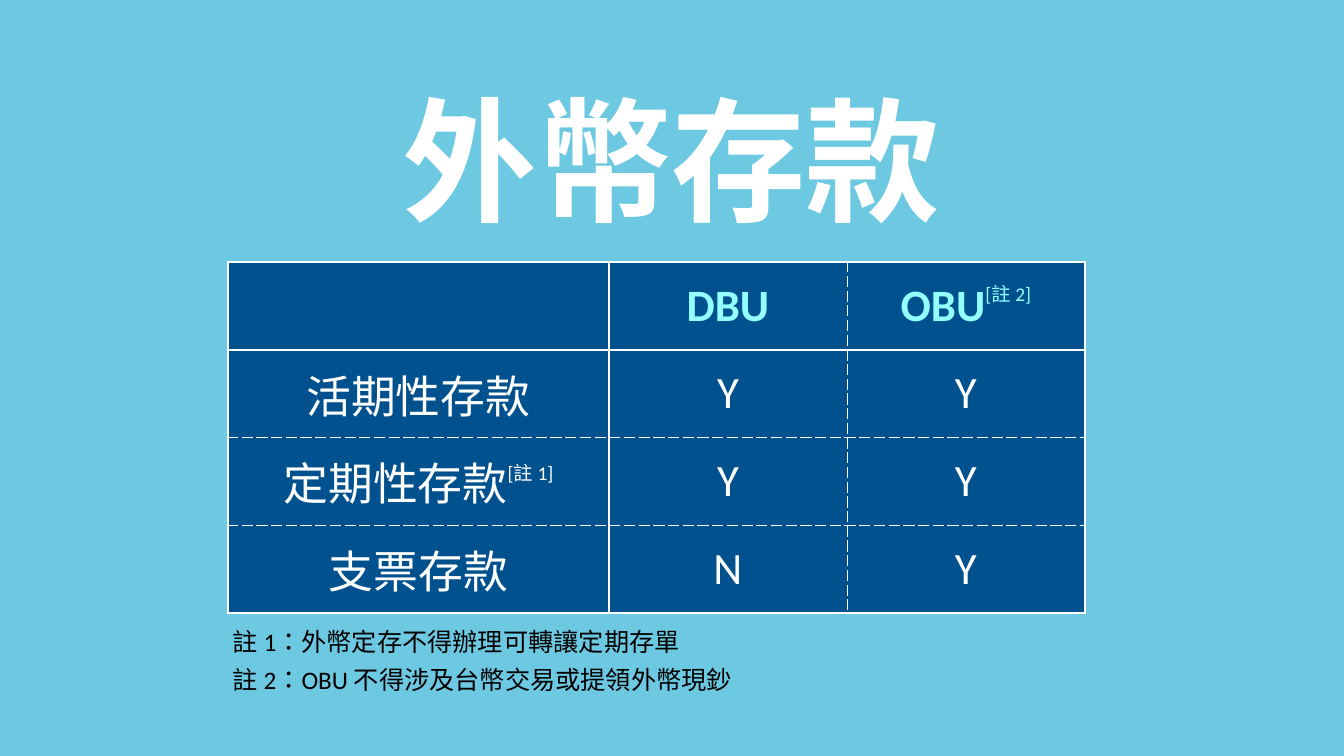
from lxml.etree import SubElement
from pptx import Presentation
from pptx.dml.color import RGBColor
from pptx.enum.text import MSO_ANCHOR as Anchor, MSO_AUTO_SIZE as AutoSize, PP_ALIGN as Align
from pptx.oxml.ns import qn
from pptx.util import Inches, Pt


def color(value):
    return RGBColor.from_string(value)


class DepositSlide:
    latin, cjk = "Calibri", "Noto Sans CJK SC"
    sky, navy, aqua, white, black = "6DC8E1", "00518E", "93FFFF", "FFFFFF", "000000"

    def __init__(self, presentation):
        self.slide = presentation.slides.add_slide(presentation.slide_layouts[5])
        fill = self.slide.background.fill
        fill.solid()
        fill.fore_color.rgb = color(self.sky)

    def run(self, paragraph, text, size, ink, bold=False, latin=latin, raised=False):
        run = paragraph.add_run()
        run.text = text
        font = run.font
        font.size, font.bold, font.name = Pt(size), bold, latin
        font.color.rgb = color(ink)
        properties = run._r.get_or_add_rPr()
        properties.set("lang", "zh-TW")
        if raised:
            properties.set("baseline", "60000")
        SubElement(properties, qn("a:ea"), typeface=self.cjk)

    def title(self, text, left, top, width, height):
        title = self.slide.shapes.title
        title.left, title.top = Inches(left), Inches(top)
        title.width, title.height = Inches(width), Inches(height)
        frame = title.text_frame
        frame.word_wrap = True
        frame.auto_size = AutoSize.NONE
        frame.vertical_anchor = Anchor.TOP
        paragraph = frame.paragraphs[0]
        paragraph.alignment = Align.CENTER
        self.run(paragraph, text, 96, self.white, bold=True, latin=self.cjk)

    def border(self, cell, side, dashed):
        line = SubElement(cell._tc.get_or_add_tcPr(), qn(f"a:ln{side}"),
                          w=str(Pt(0.5 if dashed else 1.5)))
        fill = SubElement(line, qn("a:solidFill"))
        SubElement(fill, qn("a:srgbClr"), val=self.white)
        SubElement(line, qn("a:prstDash"), val="dash" if dashed else "solid")

    def table(self, rows, left, top, widths, row_height):
        row_count, column_count = len(rows), len(widths)
        table = self.slide.shapes.add_table(
            row_count, column_count, Inches(left), Inches(top),
            Inches(sum(widths)), Inches(row_height * row_count)).table
        for column, width in zip(table.columns, widths):
            column.width = Inches(width)
        for row_index, row in enumerate(rows):
            table.rows[row_index].height = Inches(row_height)
            for column_index, (text, note) in enumerate(row):
                cell = table.cell(row_index, column_index)
                edges = (("L", column_index, column_count), ("R", column_index + 1, column_count),
                         ("T", row_index, row_count), ("B", row_index + 1, row_count))
                for side, edge, count in edges:
                    self.border(cell, side, dashed=1 < edge < count)
                cell.fill.solid()
                cell.fill.fore_color.rgb = color(self.navy)
                cell.vertical_anchor = Anchor.MIDDLE
                paragraph = cell.text_frame.paragraphs[0]
                paragraph.alignment = Align.CENTER
                header = row_index == 0
                ink = self.aqua if header else self.white
                if text:
                    self.run(paragraph, text, 32, ink, bold=header)
                if note:
                    self.run(paragraph, note, 24, ink, raised=True)

    def notes(self, lines, left, top, width, height):
        box = self.slide.shapes.add_textbox(
            Inches(left), Inches(top), Inches(width), Inches(height))
        frame = box.text_frame
        frame.word_wrap = True
        for index, line in enumerate(lines):
            paragraph = frame.add_paragraph() if index else frame.paragraphs[0]
            paragraph.line_spacing = 1.25
            self.run(paragraph, line, 18, self.black)


def main():
    presentation = Presentation()
    presentation.slide_width, presentation.slide_height = Inches(13.33), Inches(7.5)
    deposits = DepositSlide(presentation)
    deposits.title("外幣存款", 3.67, 0.71, 5.98, 1.72)
    deposits.table([
        [("", ""), ("DBU", ""), ("OBU", "[註 2]")],
        [("活期性存款", ""), ("Y", ""), ("Y", "")],
        [("定期性存款", "[註 1]"), ("Y", ""), ("Y", "")],
        [("支票存款", ""), ("N", ""), ("Y", "")],
    ], 2.26, 2.6, [3.78, 2.36, 2.36], 0.87)
    deposits.notes([
        "註 1：外幣定存不得辦理可轉讓定期存單",
        "註 2：OBU 不得涉及台幣交易或提領外幣現鈔",
    ], 2.21, 6.09, 6.67, 0.86)
    presentation.save("out.pptx")


if __name__ == "__main__":
    main()
